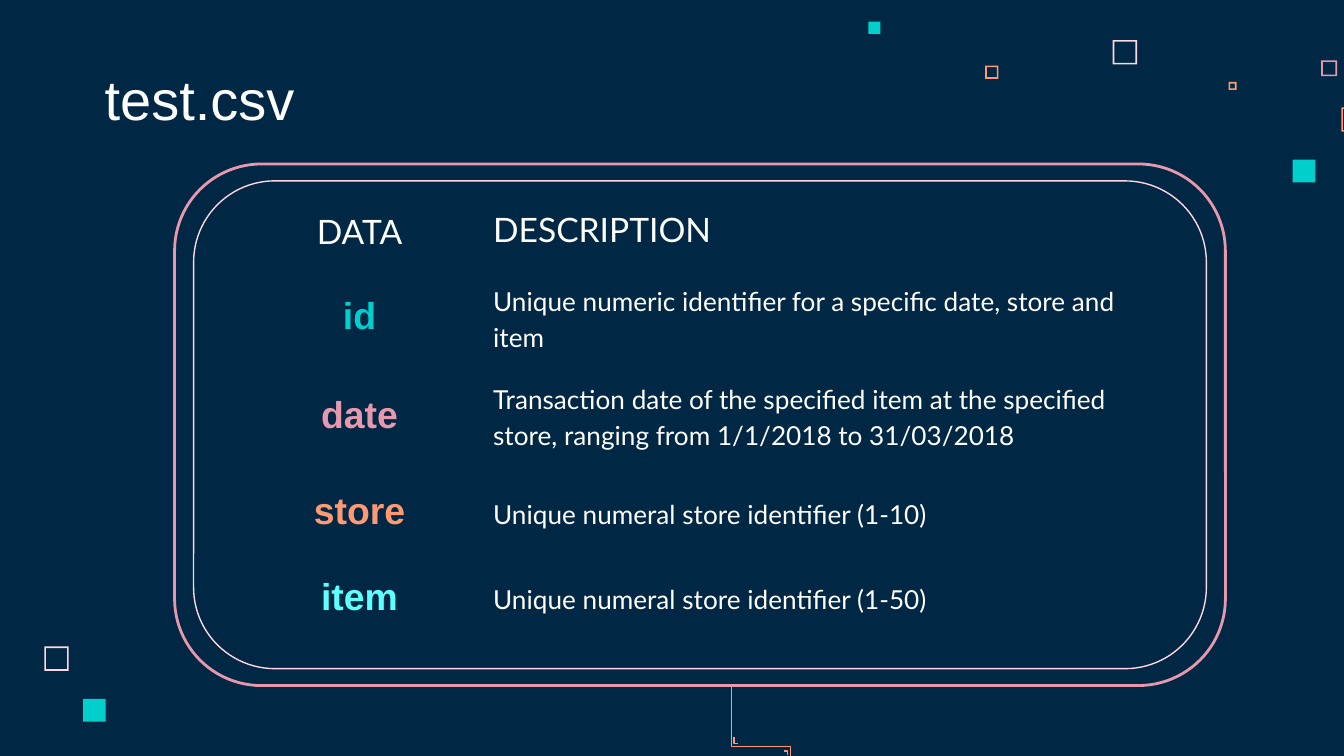
from lxml import etree
from pptx import Presentation
from pptx import util as u
from pptx.dml.color import RGBColor
from pptx.enum import shapes, text
from pptx.oxml.ns import qn

NAVY = RGBColor(0x00, 0x28, 0x45)
WHITE = RGBColor(0xFF, 0xFF, 0xFF)
BLUSH = RGBColor(0xFF, 0xD6, 0xE1)
PINK = RGBColor(0xE8, 0x98, 0xAC)
ORANGE = RGBColor(0xFF, 0x99, 0x73)
TEAL = RGBColor(0x00, 0xCF, 0xCC)
AQUA = RGBColor(0x5E, 0xFF, 0xFD)

PADDING = u.Cm(0.25)
SOLID_SQUARES = [
    (24.43, 3.02, 0.43, TEAL),
    (16.41, 0.41, 0.23, TEAL),
    (1.57, 13.21, 0.43, TEAL),
]
HOLLOW_SQUARES = [
    (21.03, 0.76, 0.46, BLUSH),
    (24.97, 1.14, 0.3, PINK),
    (23.22, 1.55, 0.15, ORANGE),
    (25.35, 2.03, 0.46, ORANGE),
    (18.62, 1.24, 0.25, ORANGE),
    (0.84, 12.22, 0.46, BLUSH),
]
FIELDS = [
    ("id", TEAL, "Unique numeric identifier for a specific date, store and item"),
    ("date", PINK, "Transaction date of the specified item at the specified store, "
                   "ranging from 1/1/2018 to 31/03/2018"),
    ("store", ORANGE, "Unique numeral store identifier (1-10)"),
    ("item", AQUA, "Unique numeral store identifier (1-50)"),
]
COLUMN_WIDTHS = (4.55, 8, 5.18)
ROW_HEIGHTS = (1.35, 1.78, 1.55, 1.78, 1.45)


def square_corners(left, top, side):
    """Return the four corners of a square, clockwise."""
    right, bottom = left + side, top + side
    return [(u.Cm(x), u.Cm(y)) for x, y in
            ((left, top), (right, top), (right, bottom), (left, bottom))]


def add_solid_square(slide, left, top, side, color):
    """Draw a filled square."""
    square = slide.shapes.add_shape(
        shapes.MSO_SHAPE.RECTANGLE, u.Cm(left), u.Cm(top), u.Cm(side), u.Cm(side))
    square.shadow.inherit = False
    square.fill.solid()
    square.fill.fore_color.rgb = color
    square.line.fill.background()


def add_hollow_square(slide, left, top, side, color, wall=0.03):
    """Draw a square ring with a thin wall."""
    outer = square_corners(left, top, side)
    inner = square_corners(left + wall, top + wall, side - 2 * wall)[::-1]
    builder = slide.shapes.build_freeform(*outer[0], scale=1.0)
    builder.add_line_segments(outer[1:])
    builder.move_to(*inner[0])
    builder.add_line_segments(inner[1:])
    ring = builder.convert_to_shape()
    ring.shadow.inherit = False
    ring.fill.solid()
    ring.fill.fore_color.rgb = color
    ring.line.fill.background()


def add_panel(slide, left, top, width, height):
    """Draw the double rounded frame around the table."""
    for inset_x, inset_y, color, weight in ((0, 0, PINK, 1.5), (0.36, 0.32, BLUSH, 0.75)):
        frame = slide.shapes.add_shape(
            shapes.MSO_SHAPE.ROUNDED_RECTANGLE,
            u.Cm(left + inset_x), u.Cm(top + inset_y),
            u.Cm(width - 2 * inset_x), u.Cm(height - 2 * inset_y))
        frame.shadow.inherit = False
        frame.fill.background()
        frame.line.color.rgb = color
        frame.line.width = u.Pt(weight)


def set_font(paragraph, name, size, color, bold=False):
    """Set the font of a whole paragraph."""
    font = paragraph.font
    font.name, font.size, font.bold = name, u.Pt(size), bold
    font.color.rgb = color


def set_padding(box):
    """Give a text frame or cell equal margins."""
    box.margin_left = box.margin_right = box.margin_top = box.margin_bottom = PADDING


def add_title(slide, left, top, width, height):
    """Write the file name as the slide title."""
    frame = slide.shapes.add_textbox(
        u.Cm(left), u.Cm(top), u.Cm(width), u.Cm(height)).text_frame
    frame.word_wrap = True
    frame.vertical_anchor = text.MSO_ANCHOR.BOTTOM
    set_padding(frame)
    frame.text = "test.csv"
    set_font(frame.paragraphs[0], "Arial", 30, WHITE)


def clear_cell(cell):
    """Remove borders and fill from a cell and centre it vertically."""
    properties = cell._tc.get_or_add_tcPr()
    for side in ("a:lnL", "a:lnR", "a:lnT", "a:lnB"):
        border = etree.SubElement(properties, qn(side), w="0")
        etree.SubElement(border, qn("a:noFill"))
    cell.fill.background()
    cell.vertical_anchor = text.MSO_ANCHOR.MIDDLE
    set_padding(cell)


def write_cell(cell, words, name, size, color, bold=False):
    """Fill a cell with one paragraph and return that paragraph."""
    cell.text = words
    paragraph = cell.text_frame.paragraphs[0]
    set_font(paragraph, name, size, color, bold)
    return paragraph


def add_field_table(slide, left, top):
    """Build the table of data fields and their descriptions."""
    table = slide.shapes.add_table(
        len(ROW_HEIGHTS), len(COLUMN_WIDTHS), u.Cm(left), u.Cm(top),
        u.Cm(sum(COLUMN_WIDTHS)), u.Cm(sum(ROW_HEIGHTS))).table
    table.first_row = table.horz_banding = False
    for column, width in zip(table.columns, COLUMN_WIDTHS):
        column.width = u.Cm(width)
    for row, height in zip(table.rows, ROW_HEIGHTS):
        row.height = u.Cm(height)
    for cell in table.iter_cells():
        clear_cell(cell)
    for index in range(len(ROW_HEIGHTS)):
        table.cell(index, 1).merge(table.cell(index, 2))

    heading = write_cell(table.cell(0, 0), "DATA", "Lato", 18, WHITE)
    heading.alignment = text.PP_ALIGN.CENTER
    write_cell(table.cell(0, 1), "DESCRIPTION", "Lato", 18, WHITE)
    table.cell(0, 1).vertical_anchor = text.MSO_ANCHOR.TOP
    for index, (field, color, description) in enumerate(FIELDS, start=1):
        label = write_cell(table.cell(index, 0), field, "Arial", 20, color, True)
        label.alignment = text.PP_ALIGN.CENTER
        detail = write_cell(table.cell(index, 1), description, "Lato", 14, WHITE)
        detail.line_spacing = 1.15


def add_circuit_trace(slide, left, top):
    """Draw the stepped trace below the panel with its two corner ticks."""
    trace = [(0, 0), (0, 1.16), (1.12, 1.16), (1.12, 3.61)]
    right_tick = [(0.99, 1.25), (1.06, 1.25), (1.06, 1.32)]
    left_tick = [(0.05, 0.99), (0.05, 1.1), (0.12, 1.1)]
    group = slide.shapes.add_group_shape()
    for route in (trace, right_tick, left_tick):
        points = [(u.Cm(left + x), u.Cm(top + y)) for x, y in route]
        builder = group.shapes.build_freeform(*points[0], scale=1.0)
        builder.add_line_segments(points[1:], close=False)
        path_line = builder.convert_to_shape()
        path_line.shadow.inherit = False
        path_line.fill.background()
        path_line.line.color.rgb = ORANGE
        path_line.line.width = u.Pt(0.75)


def main():
    """Build the slide and save it."""
    deck = Presentation()
    deck.slide_width, deck.slide_height = u.Cm(25.4), u.Cm(14.29)
    slide = deck.slides.add_slide(deck.slide_layouts[6])
    slide.background.fill.solid()
    slide.background.fill.fore_color.rgb = NAVY
    for square in HOLLOW_SQUARES:
        add_hollow_square(slide, *square)
    for square in SOLID_SQUARES:
        add_solid_square(slide, *square)
    add_panel(slide, 3.3, 3.1, 19.86, 9.86)
    add_title(slide, 1.73, 1.14, 13.13, 1.6)
    add_field_table(slide, 4.52, 3.71)
    add_circuit_trace(slide, 13.82, 12.95)
    deck.save("out.pptx")


if __name__ == "__main__":
    main()
